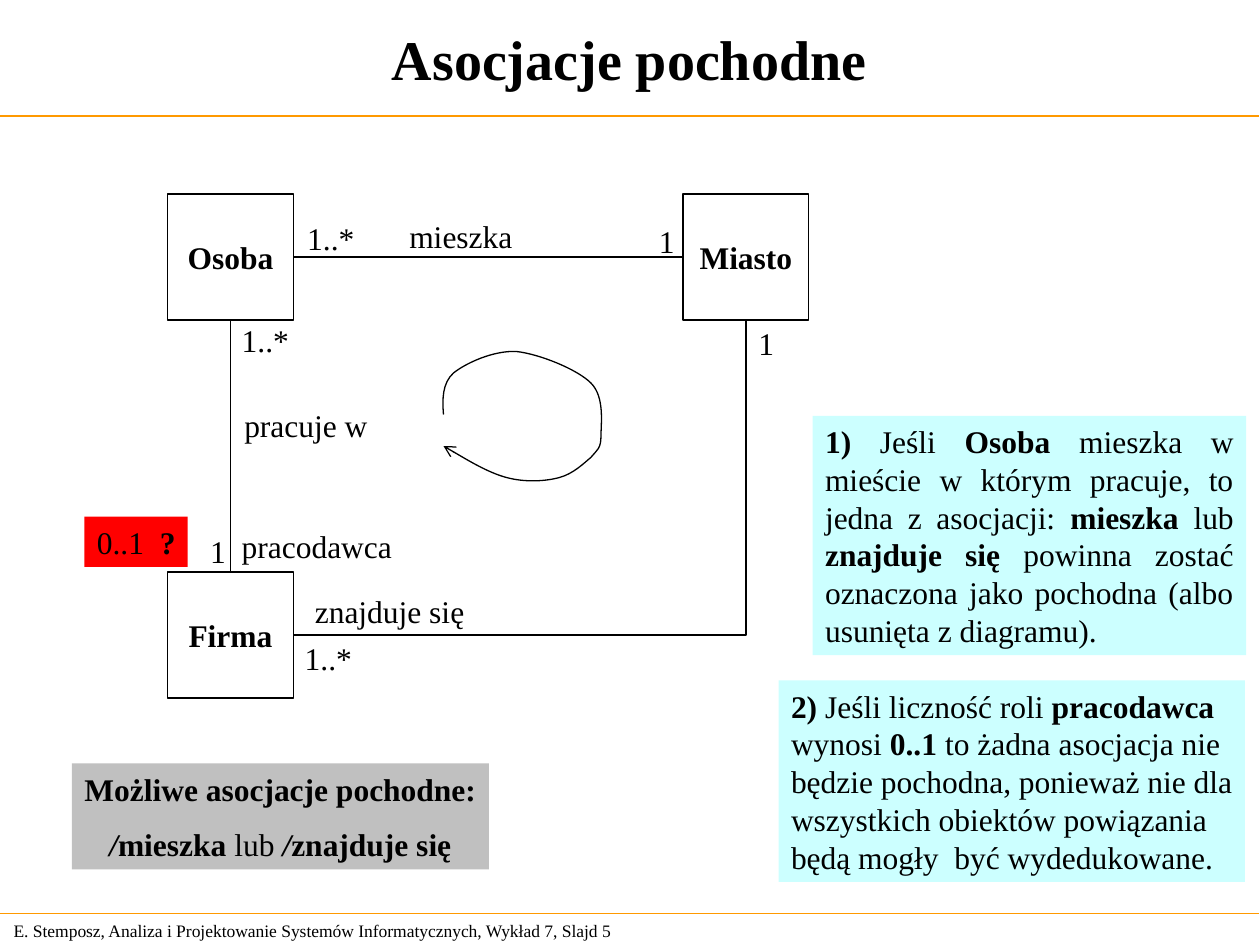
from dataclasses import dataclass

from lxml.etree import SubElement
from pptx import Presentation
from pptx.dml.color import RGBColor
from pptx.enum.shapes import MSO_CONNECTOR, MSO_SHAPE
from pptx.enum.text import MSO_ANCHOR, MSO_AUTO_SIZE, PP_ALIGN
from pptx.oxml.ns import qn
from pptx.util import Inches, Pt

BLACK, ORANGE, CYAN, RED, GRAY = "000000", "FF9900", "CCFFFF", "FF0000", "C0C0C0"
TOP, LEFT, BOTTOM, RIGHT = range(4)


@dataclass
class Box:
    """A text block; in a line, | switches bold and _ switches italic."""
    x: float
    y: float
    w: float
    h: float
    lines: list[str]
    size: int = 18
    fill: str = ""
    edge: str = ""
    align: PP_ALIGN = PP_ALIGN.LEFT
    middle: bool = False
    wrap: bool = False
    gap: int = 0


@dataclass
class Label:
    x: float
    y: float
    w: float
    text: str


def tint(code: str) -> RGBColor:
    return RGBColor.from_string(code)


def write(para, text: str, size: int) -> None:
    for i, part in enumerate(text.split("|")):
        for j, bit in enumerate(part.split("_")):
            if not bit:
                continue
            run = para.add_run()
            run.text = bit
            style = {"name": "Times New Roman", "size": Pt(size),
                     "bold": i % 2 == 1, "italic": j % 2 == 1}
            for key, value in style.items():
                setattr(run.font, key, value)
            run.font.color.rgb = tint(BLACK)


def draw_box(slide, box: Box):
    area = [Inches(n) for n in (box.x, box.y, box.w, box.h)]
    if box.fill or box.edge:
        shape = slide.shapes.add_shape(MSO_SHAPE.RECTANGLE, *area)
        shape.shadow.inherit = False
    else:
        shape = slide.shapes.add_textbox(*area)
    if box.fill:
        shape.fill.solid()
        shape.fill.fore_color.rgb = tint(box.fill)
    else:
        shape.fill.background()
    if box.edge:
        shape.line.color.rgb = tint(box.edge)
        shape.line.width = Pt(0.75)
    else:
        shape.line.fill.background()

    # Tight one-line boxes get a slim right inset so that their text fits.
    tight = not box.wrap and box.align == PP_ALIGN.LEFT
    frame = shape.text_frame
    layout = {
        "word_wrap": box.wrap,
        "auto_size": MSO_AUTO_SIZE.NONE,
        "vertical_anchor": MSO_ANCHOR.MIDDLE if box.middle else MSO_ANCHOR.TOP,
        "margin_right": Inches(0.02 if tight else 0.1),
    }
    for key, value in layout.items():
        setattr(frame, key, value)
    for i, text in enumerate(box.lines):
        para = frame.add_paragraph() if i else frame.paragraphs[0]
        para.alignment = box.align
        if i and box.gap:
            para.space_before = Pt(box.gap)
        write(para, text, box.size)
    return shape


def draw_line(slide, start: tuple, end: tuple, color: str = BLACK,
              kind: MSO_CONNECTOR = MSO_CONNECTOR.STRAIGHT):
    line = slide.shapes.add_connector(kind, *(Inches(n) for n in (*start, *end)))
    line.line.color.rgb = tint(color)
    line.line.width = Pt(0.75)
    SubElement(line._element.spPr, qn("a:effectLst"))
    return line


def join(line, first, side: int, last, other: int) -> None:
    line.begin_connect(first, side)
    line.end_connect(last, other)


def draw_loop(slide, start: tuple, points: list[tuple]) -> None:
    """Draw an open curve with an arrowhead; points come in Bézier triples, in 1/100 inch."""
    pen = slide.shapes.build_freeform(*start, scale=Inches(0.01))
    pen.add_line_segments(points, close=False)
    loop = pen.convert_to_shape()
    loop.shadow.inherit = False
    loop.fill.background()
    loop.line.color.rgb = tint(BLACK)
    loop.line.width = Pt(0.75)
    steps = loop._element.xpath(".//a:lnTo")
    track = steps[0].getparent()
    for i in range(0, len(steps), 3):
        curve = SubElement(track, qn("a:cubicBezTo"))
        for step in steps[i:i + 3]:
            curve.append(step[0])
            track.remove(step)
    edge = loop._element.spPr.find(qn("a:ln"))
    SubElement(edge, qn("a:tailEnd"), type="arrow")


LABELS = [
    Label(3.15, 1.67, 1.02, "mieszka"),
    Label(5.13, 1.71, 0.32, "1"),
    Label(2.34, 1.69, 0.57, "1..*"),
    Label(2.4, 4.65, 1.38, "znajduje się"),
    Label(5.92, 2.52, 0.32, "1"),
    Label(2.32, 5.02, 0.57, "1..*"),
    Label(1.82, 2.5, 0.57, "1..*"),
    Label(1.84, 3.17, 1.18, "pracuje w"),
    Label(1.57, 4.17, 0.32, "1"),
    Label(1.82, 4.13, 1.39, "pracodawca"),
]

NOTES = [
    Box(6.45, 3.3, 3.44, 1.9, [
        "|1)| Jeśli |Osoba| mieszka w mieście w którym pracuje, to jedna z asocjacji: "
        "|mieszka |lub |znajduje się |powinna zostać oznaczona jako pochodna "
        "(albo usunięta z diagramu)."],
        fill=CYAN, align=PP_ALIGN.JUSTIFY, wrap=True),
    Box(0.67, 4.1, 0.82, 0.4, ["0..1  |?"], fill=RED),
    Box(6.18, 5.4, 3.7, 1.6, [
        "|2) |Jeśli liczność roli |pracodawca",
        "wynosi |0..1| to żadna asocjacja nie",
        "będzie pochodna, ponieważ nie dla",
        "wszystkich obiektów powiązania",
        "będą mogły  być wydedukowane."], fill=CYAN),
    Box(0.57, 6.06, 3.31, 0.84, [
        "|Możliwe asocjacje pochodne:",
        "|_/_mieszka| lub |_/_znajduje się"],
        fill=GRAY, align=PP_ALIGN.CENTER, gap=10),
]

LOOP = [
    (351, 317), (351, 304), (360, 296), (370, 288), (392, 278), (410, 279),
    (428, 281), (458, 293), (469, 304), (480, 315), (477, 336), (477, 346),
    (477, 356), (474, 357), (469, 363), (463, 368), (455, 376), (444, 379),
    (433, 382), (417, 383), (402, 379), (387, 375), (359, 358), (352, 354),
]


def main() -> None:
    deck = Presentation()
    deck.slide_width, deck.slide_height = Inches(10), Inches(7.5)
    slide = deck.slides.add_slide(deck.slide_layouts[6])

    draw_box(slide, Box(
        0.01, 7.25, 5.24, 0.27,
        ["E. Stemposz, Analiza i Projektowanie Systemów Informatycznych, Wykład 7, Slajd 5"],
        size=10, middle=True))
    for y in (0.92, 7.25):
        draw_line(slide, (0, y), (9.99, y), ORANGE)
    draw_box(slide, Box(0, 0, 9.99, 0.92, ["|Asocjacje pochodne"], size=32,
                        align=PP_ALIGN.CENTER, middle=True, wrap=True))

    person, city, firm = (
        draw_box(slide, Box(x, y, 1, 1, ["|" + name], edge=BLACK,
                            align=PP_ALIGN.CENTER, middle=True))
        for name, x, y in (("Osoba", 1.33, 1.54), ("Miasto", 5.42, 1.54),
                           ("Firma", 1.33, 4.54)))
    join(draw_line(slide, (2.33, 2.04), (5.42, 2.04)), person, RIGHT, city, LEFT)
    join(draw_line(slide, (1.83, 2.54), (1.83, 4.54)), person, BOTTOM, firm, TOP)
    bend = draw_line(slide, (2.33, 5.04), (5.92, 2.54), kind=MSO_CONNECTOR.ELBOW)
    bend._element.spPr.find(qn("a:prstGeom")).set("prst", "bentConnector2")
    join(bend, firm, RIGHT, city, BOTTOM)

    draw_loop(slide, (352, 329), LOOP)
    for label in LABELS:
        draw_box(slide, Box(label.x, label.y, label.w, 0.4, [label.text]))
    for note in NOTES:
        draw_box(slide, note)
    deck.save("out.pptx")


if __name__ == "__main__":
    main()
